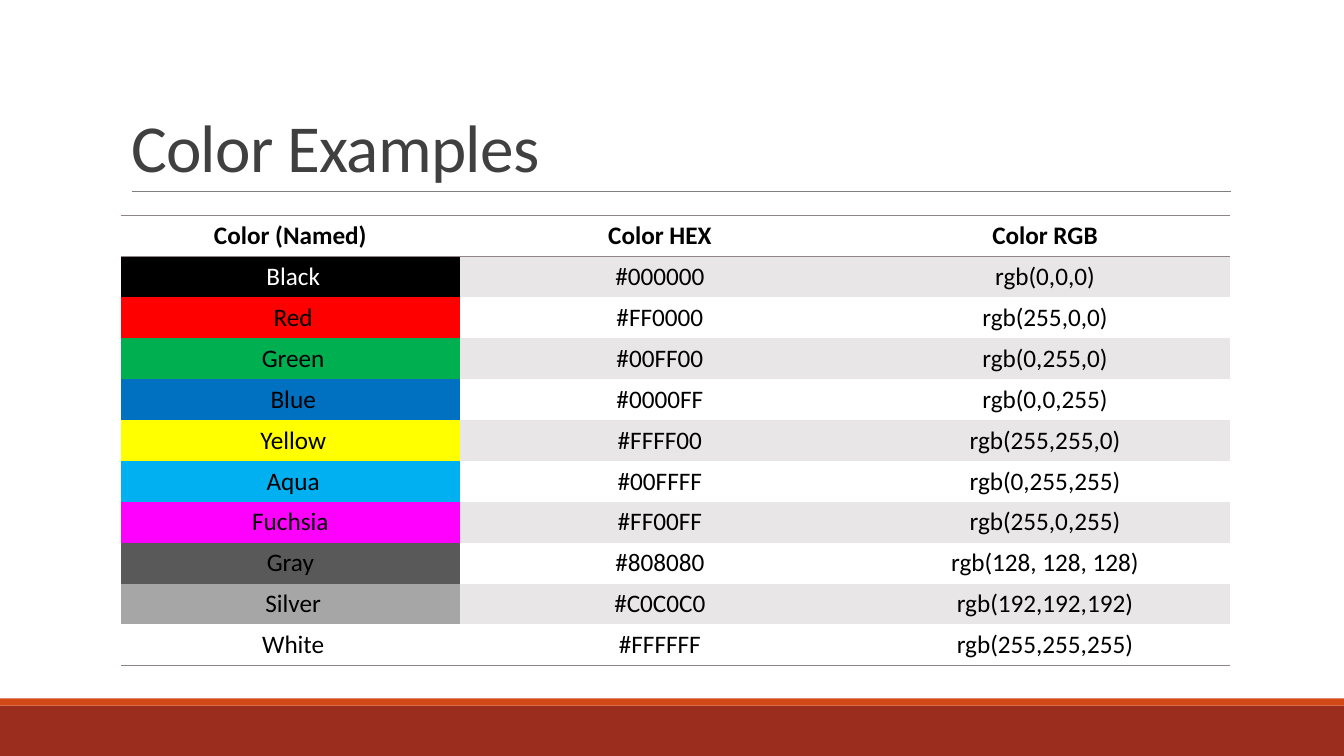
from dataclasses import dataclass
from typing import NamedTuple

from lxml.etree import SubElement
from pptx import Presentation
from pptx.dml.color import RGBColor
from pptx.enum.shapes import MSO_CONNECTOR as Connector, MSO_SHAPE as Shape
from pptx.enum.text import MSO_ANCHOR as Anchor, PP_ALIGN as Align
from pptx.oxml.ns import qn
from pptx.util import Inches, Pt


@dataclass(frozen=True)
class Theme:
    font: str = "Calibri"
    title_size: int = 48
    table_size: int = 18
    title: str = "404040"
    text: str = "000000"
    light_text: str = "FFFFFF"
    title_rule: str = "808080"
    table_rule: str = "918485"
    band: str = "E9E6E7"
    footer: str = "9B2D1F"
    accent: str = "D34817"


class FooterBar(NamedTuple):
    top: float
    height: float
    color: str


class ColorRow(NamedTuple):
    name: str
    hex_code: str
    rgb_code: str
    swatch: str


THEME = Theme()
NO_GRID_STYLE = "{2D5ABB26-0587-4C30-8999-92F81FD0307C}"
NBSP = "\u00a0"
FOOTER_BARS = [FooterBar(7, 0.5, THEME.footer), FooterBar(6.93, 0.07, THEME.accent)]
HEADERS = ["Color (Named)", "Color HEX", "Color RGB"]
COLUMN_WIDTHS = [3.36, 3.97, 3.67]
ROW_HEIGHT = 0.4
COLORS = [
    ColorRow(NBSP + "Black", "#000000", "rgb(0,0,0)", "000000"),
    ColorRow(NBSP + "Red", "#FF0000", "rgb(255,0,0)", "FF0000"),
    ColorRow(NBSP + "Green", "#00FF00", "rgb(0,255,0)", "00B050"),
    ColorRow(NBSP + "Blue", "#0000FF", "rgb(0,0,255)", "0070C0"),
    ColorRow(NBSP + "Yellow", "#FFFF00", "rgb(255,255,0)", "FFFF00"),
    ColorRow(NBSP + "Aqua", "#00FFFF", "rgb(0,255,255)", "00B0F0"),
    ColorRow("Fuchsia", "#FF00FF", "rgb(255,0,255)", "FF00FF"),
    ColorRow("Gray", "#808080", "rgb(128, 128, 128)", "595959"),
    ColorRow(NBSP + "Silver", "#C0C0C0", "rgb(192,192,192)", "A6A6A6"),
    ColorRow(NBSP + "White", "#FFFFFF", "rgb(255,255,255)", "FFFFFF"),
]


def style_text(para, size: int, color: str, bold: bool = False) -> None:
    for span in para.runs:
        span.font.name = THEME.font
        span.font.size = Pt(size)
        span.font.bold = bold
        span.font.color.rgb = RGBColor.from_string(color)


def draw_footer_bar(page, bar: FooterBar) -> None:
    box = page.shapes.add_shape(
        Shape.RECTANGLE, 0, Inches(bar.top), deck.slide_width, Inches(bar.height))
    box.shadow.inherit = False
    box.fill.solid()
    box.fill.fore_color.rgb = RGBColor.from_string(bar.color)
    box.line.fill.background()


def draw_title(page, text: str) -> None:
    title = page.shapes.title
    title.left, title.top = Inches(1.2), Inches(0.31)
    title.width, title.height = Inches(11), Inches(1.59)
    frame = title.text_frame
    frame.text = text
    frame.vertical_anchor = Anchor.BOTTOM
    para = frame.paragraphs[0]
    para.alignment = Align.LEFT
    para.line_spacing = 0.85
    style_text(para, THEME.title_size, THEME.title)
    para.runs[0].font._element.set("spc", "-50")


def draw_title_rule(page) -> None:
    rule = page.shapes.add_connector(
        Connector.STRAIGHT, Inches(1.31), Inches(1.9), Inches(12.21), Inches(1.9))
    rule.line.color.rgb = RGBColor.from_string(THEME.title_rule)
    rule.line.width = Pt(0.5)
    SubElement(rule._element.spPr, qn("a:effectLst"))


def add_border(cell, side: str) -> None:
    border = SubElement(cell._tc.get_or_add_tcPr(), qn(f"a:{side}"), w=str(Pt(1)))
    fill = SubElement(border, qn("a:solidFill"))
    SubElement(fill, qn("a:srgbClr"), val=THEME.table_rule)


def fill_cell(cell, text: str, color: str = THEME.text, fill: str | None = None,
              borders: tuple[str, ...] = (), bold: bool = False) -> None:
    cell.text_frame.text = text
    cell.vertical_anchor = Anchor.MIDDLE
    para = cell.text_frame.paragraphs[0]
    para.alignment = Align.CENTER
    style_text(para, THEME.table_size, color, bold)
    for side in borders:  # borders come before the fill in the cell properties
        add_border(cell, side)
    if fill:
        cell.fill.solid()
        cell.fill.fore_color.rgb = RGBColor.from_string(fill)
    else:
        cell.fill.background()


def draw_color_table(page) -> None:
    row_count = len(COLORS) + 1
    table = page.shapes.add_table(
        row_count, len(HEADERS), Inches(1.2), Inches(2.14),
        Inches(sum(COLUMN_WIDTHS)), Inches(ROW_HEIGHT * row_count)).table
    table._tbl.tblPr.find(qn("a:tableStyleId")).text = NO_GRID_STYLE
    for column, width in zip(table.columns, COLUMN_WIDTHS):
        column.width = Inches(width)
    for row in table.rows:
        row.height = Inches(ROW_HEIGHT)

    # Header row
    for index, header in enumerate(HEADERS):
        fill_cell(table.cell(0, index), header, borders=("lnT", "lnB"), bold=True)

    # Swatch in the first column, banded codes beside it
    for number, entry in enumerate(COLORS, start=1):
        borders = ("lnB",) if number == len(COLORS) else ()
        name_color = THEME.light_text if entry.swatch == "000000" else THEME.text
        band = THEME.band if number % 2 else None
        fill_cell(table.cell(number, 0), entry.name, name_color, entry.swatch, borders)
        for index, code in enumerate((entry.hex_code, entry.rgb_code), start=1):
            fill_cell(table.cell(number, index), code, fill=band, borders=borders)


# Deck and title-only page
deck = Presentation()
deck.slide_width, deck.slide_height = Inches(13.33), Inches(7.5)
page = deck.slides.add_slide(deck.slide_layouts[5])

# Page parts, from back to front
for footer_bar in FOOTER_BARS:
    draw_footer_bar(page, footer_bar)
draw_title_rule(page)
draw_title(page, "Color Examples")
draw_color_table(page)

deck.save("out.pptx")
